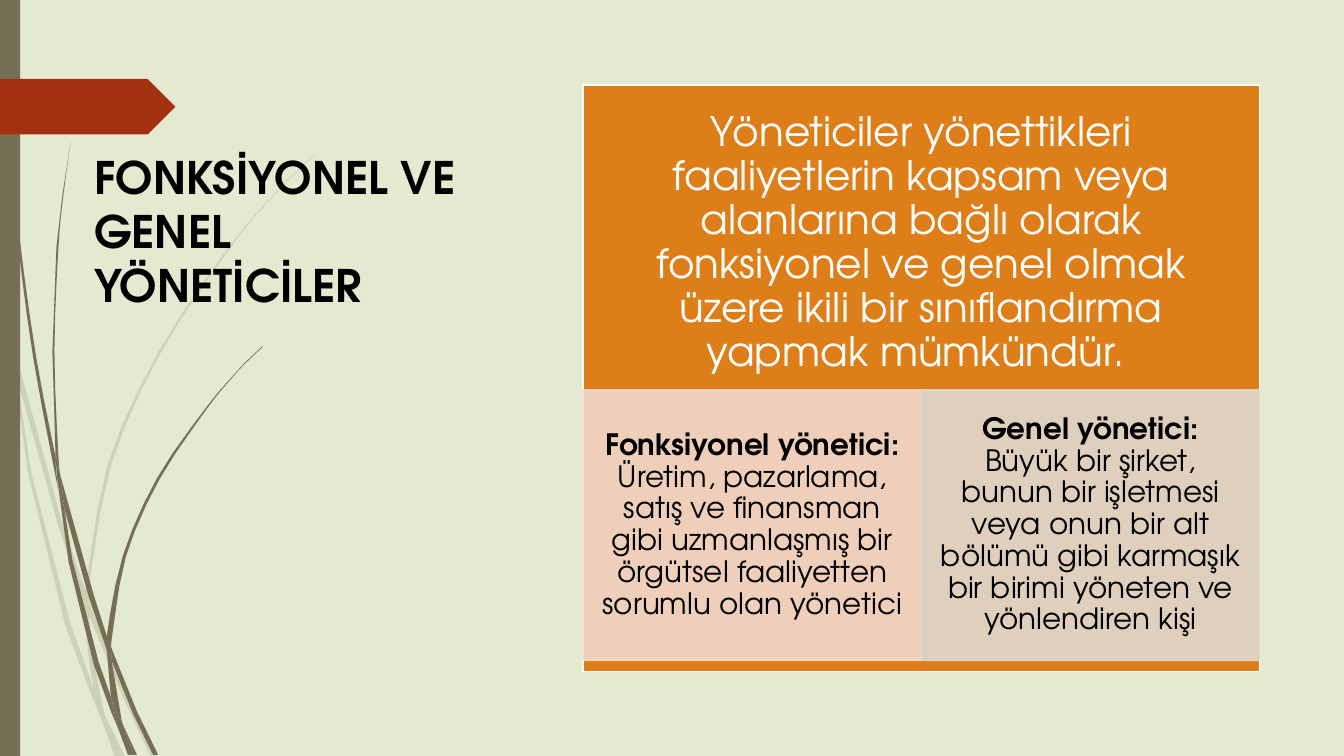
from dataclasses import dataclass
from typing import NamedTuple

from lxml.etree import SubElement
from pptx import Presentation
from pptx.dml.color import RGBColor
from pptx.enum.shapes import MSO_SHAPE as Preset
from pptx.enum.text import MSO_ANCHOR as Anchor, PP_ALIGN as Align
from pptx.oxml.ns import qn
from pptx.util import Cm, Pt

Points = list[tuple[float, float]]


@dataclass(frozen=True)
class Theme:
    background: str = "E3EACF"
    stalk: str = "766F54"
    marker: str = "A53010"
    panel: str = "DE7E18"
    light: str = "FFFFFF"
    dark: str = "000000"
    font: str = "TeX Gyre Adventor"
    title_size: int = 32
    intro_size: int = 29
    card_size: int = 21
    outline: float = 1.25


class Area(NamedTuple):
    left: float
    top: float
    width: float
    height: float


class Blade(NamedTuple):
    """A piece of a stalk: one edge, then the other edge back again."""
    edge: Points
    back: Points


class Card(NamedTuple):
    term: str
    meaning: str
    color: str


THEME = Theme()
SLIDE_WIDTH, SLIDE_HEIGHT = 33.87, 19.05
PANEL = Area(14.7, 2.14, 17.04, 14.78)
INTRO = Area(PANEL.left, PANEL.top, PANEL.width, 7.98)
CARD_TOP, CARD_HEIGHT = 9.83, 6.81
CARD_OPACITY = 90
CURVE_STEPS = 3
GRID = 2.54  # centimetres per unit of the stalk points

PALE_BLADES = [
    Blade([(0.11, 3.5), (0.09, 3.22), (0, 2.82)], [(0, 2.99), (0.1, 3.44)]),
    Blade([(0.58, 5.22), (0.84, 5.99)],
          [(0.85, 5.86), (0.62, 5.2), (0.14, 3.45), (0.17, 3.76)]),
    Blade([(0.92, 6.07), (0.88, 5.96)],
          [(0.88, 6.1), (1.23, 6.94), (1.5, 7.51), (1.55, 7.51), (1.27, 6.92)]),
    Blade([(1.19, 7.51), (1.24, 7.51)], [(1.05, 7.11)]),
    Blade([(0.93, 6.83), (0.7, 6.19), (0.31, 4.69), (0.17, 3.76), (0.11, 3.5)],
          [(0.28, 4.7), (0.65, 6.21), (0.92, 6.93), (1.01, 7.14), (0.99, 7.07)]),
    Blade([(0.84, 5.99), (0.87, 6.46), (0.93, 6.83), (0.96, 6.92), (1.05, 7.11)],
          [(1.03, 7.06), (0.91, 6.46), (0.88, 6.1), (0.88, 6.08)]),
    Blade([(0.88, 5.84), (1.1, 4.62), (1.6, 3.49), (2.29, 2.45), (2.68, 1.98), (2.9, 1.75), (3.12, 1.54)],
          [(3.12, 1.53), (2.89, 1.75), (2.68, 1.97), (2.28, 2.44), (1.58, 3.48), (1.07, 4.61),
           (0.85, 5.84), (0.85, 5.86), (0.88, 5.96)]),
    Blade([(1.01, 7.14), (1.14, 7.51)], [(1.19, 7.51)]),
    Blade([(0.88, 6.08), (0.88, 6.1)], [(0.88, 5.96), (0.85, 5.86), (0.84, 5.99)]),
    Blade([(0.96, 6.92), (0.93, 6.83), (0.99, 7.07), (1.01, 7.14), (1.19, 7.51)], [(1.05, 7.11)]),
]
DARK_BLADES = [
    Blade([(0.03, 0), (0.04, 0.48), (0.07, 1.1), (0.17, 2.33), (0.33, 3.55), (0.56, 4.77), (0.57, 4.81)],
          [(0.55, 4.57), (0.55, 4.53), (0.36, 3.55), (0.19, 2.32), (0.08, 1.09), (0.05, 0.48), (0.04, 0)]),
    Blade([(0.88, 5.92), (1.06, 6.45)],
          [(1.06, 6.33), (1.06, 6.31), (0.93, 5.9), (0.6, 4.72), (0.64, 5.05)]),
    Blade([(1.13, 6.49), (1.1, 6.41)],
          [(1.11, 6.56), (1.32, 7.08), (1.52, 7.49), (1.57, 7.49), (1.36, 7.06)]),
    Blade([(1.1, 6.91), (0.98, 6.57), (0.72, 5.56), (0.64, 5.05), (0.57, 4.77)],
          [(0.68, 5.57), (0.93, 6.59), (1.11, 7.08), (1.17, 7.22), (1.16, 7.17)]),
    Blade([(0.6, 4.72), (0.58, 4.53), (0.54, 3.49), (0.58, 2.45), (0.63, 1.93), (0.7, 1.41)],
          [(0.62, 1.93), (0.56, 2.45), (0.52, 3.49), (0.55, 4.49)]),
    Blade([(1.33, 7.49), (1.36, 7.49)], [(1.22, 7.19)]),
    Blade([(0.57, 4.77), (0.64, 5.05)], [(0.6, 4.72), (0.55, 4.49), (0.55, 4.53)]),
    Blade([(1.11, 6.33), (1.25, 5.52), (1.58, 4.76), (2.05, 4.06), (2.31, 3.74), (2.45, 3.59), (2.61, 3.44)],
          [(2.6, 3.44), (2.45, 3.58), (2.31, 3.73), (2.04, 4.05), (1.56, 4.74), (1.22, 5.51),
           (1.06, 6.31), (1.1, 6.41)]),
    Blade([(1.17, 7.22), (1.27, 7.49)], [(1.31, 7.49)]),
    Blade([(1.06, 6.45), (1.1, 6.91), (1.16, 7.06), (1.22, 7.19)],
          [(1.21, 7.16), (1.11, 6.56), (1.09, 6.51)]),
    Blade([(1.06, 6.45), (1.09, 6.51), (1.11, 6.56)], [(1.1, 6.41), (1.06, 6.31), (1.06, 6.33)]),
    Blade([(1.16, 7.06), (1.1, 6.91)],
          [(1.16, 7.17), (1.17, 7.22), (1.3, 7.49), (1.33, 7.49), (1.22, 7.19)]),
]
CARDS = [
    Card("Fonksiyonel yönetici: ",
         "Üretim, pazarlama, satış ve finansman gibi uzmanlaşmış bir örgütsel "
         "faaliyetten sorumlu olan yönetici", "F2D8CC"),
    Card("Genel yönetici: ",
         "Büyük bir şirket, bunun bir işletmesi veya onun bir alt bölümü gibi "
         "karmaşık bir birimi yöneten ve yönlendiren kişi", "DFD9D0"),
]


def paint(fill, color: str, opacity: int = 100) -> None:
    """Make a fill solid, with transparency when opacity is below 100."""
    fill.solid()
    fill.fore_color.rgb = RGBColor.from_string(color)
    if opacity < 100:
        solid = next(fill._xPr.iter(qn("a:solidFill")))
        SubElement(solid[0], qn("a:alpha"), val=str(opacity * 1000))


def smooth(points: Points) -> Points:
    """Interpolate long edges with a Catmull-Rom curve."""
    if len(points) < 6:
        return points
    padded = [points[0], *points, points[-1]]
    curve = [tuple(b + t * (c - a) / 2 + t**2 * (2 * a - 5 * b + 4 * c - d) / 2
                   + t**3 * (3 * b - a - 3 * c + d) / 2 for a, b, c, d in zip(*group))
             for group in zip(padded, padded[1:], padded[2:], padded[3:])
             for t in (step / CURVE_STEPS for step in range(CURVE_STEPS))]
    return [*curve, points[-1]]


def draw_blade(page, blade: Blade, opacity: int) -> None:
    outline = [(Cm(x * GRID), Cm(y * GRID)) for x, y in smooth(blade.edge) + smooth(blade.back)]
    builder = page.shapes.build_freeform(*outline[0])
    builder.add_line_segments(outline[1:], close=True)
    shape = builder.convert_to_shape()
    shape.shadow.inherit = False
    paint(shape.fill, THEME.stalk, opacity)
    shape.line.fill.background()


def draw_shape(page, preset: Preset, area: Area, color: str,
               outline: str | None = None, opacity: int = 100):
    shape = page.shapes.add_shape(preset, *map(Cm, area))
    shape.shadow.inherit = False
    paint(shape.fill, color, opacity)
    if outline:
        shape.line.width = Pt(THEME.outline)
        paint(shape.line.fill, outline, opacity)
    else:
        shape.line.fill.background()
    return shape


def write(box, spans: list[tuple[str, bool]], size: int, color: str,
          margins: tuple[float, float], centred: bool = True) -> None:
    """Fill a box with one paragraph of (words, bold) spans."""
    frame = box.text_frame
    frame.word_wrap = True
    frame.margin_left = frame.margin_right = Cm(margins[0])
    frame.margin_top = frame.margin_bottom = Cm(margins[1])
    frame.vertical_anchor = Anchor.MIDDLE if centred else Anchor.TOP
    para = frame.paragraphs[0]
    para.alignment = Align.CENTER if centred else Align.LEFT
    para.line_spacing = 0.9 if centred else 1.0
    para.font.name, para.font.size = THEME.font, Pt(size)
    para.font.color.rgb = RGBColor.from_string(color)
    for words, bold in spans:
        span = para.add_run()
        span.text, span.font.bold = words, bold


def main() -> None:
    deck = Presentation()
    deck.slide_width, deck.slide_height = Cm(SLIDE_WIDTH), Cm(SLIDE_HEIGHT)
    page = deck.slides.add_slide(deck.slide_layouts[6])
    paint(page.background.fill, THEME.background)
    # Stalks, side bar and marker
    for blades, opacity in ((PALE_BLADES, 20), (DARK_BLADES, 100)):
        for blade in blades:
            draw_blade(page, blade, opacity)
    draw_shape(page, Preset.RECTANGLE, Area(0, 0, 0.51, SLIDE_HEIGHT), THEME.stalk)
    draw_shape(page, Preset.PENTAGON, Area(0, 1.99, 4.42, 1.4), THEME.marker)
    # Title
    title = page.shapes.add_textbox(*map(Cm, Area(2.12, 3.65, 10.69, 6.35)))
    write(title, [("FONKSİYONEL VE GENEL YÖNETİCİLER", True)],
          THEME.title_size, THEME.dark, (0.25, 0.13), centred=False)
    # Orange panel with the introduction
    draw_shape(page, Preset.RECTANGLE, PANEL, THEME.panel, THEME.light)
    intro = page.shapes.add_textbox(*map(Cm, INTRO))
    write(intro, [("Yöneticiler yönettikleri faaliyetlerin kapsam veya alanlarına bağlı olarak fonksiyonel "
                   "ve genel olmak üzere ikili bir sınıflandırma yapmak mümkündür. ", False)],
          THEME.intro_size, THEME.light, (0.58, 0.58))
    # Two cards side by side
    card_width = PANEL.width / len(CARDS)
    for index, card in enumerate(CARDS):
        area = Area(PANEL.left + index * card_width, CARD_TOP, card_width, CARD_HEIGHT)
        box = draw_shape(page, Preset.RECTANGLE, area, card.color, card.color, CARD_OPACITY)
        write(box, [(card.term, True), (card.meaning, False)], THEME.card_size, THEME.dark, (0.41, 0.08))
    deck.save("out.pptx")


if __name__ == "__main__":
    main()
